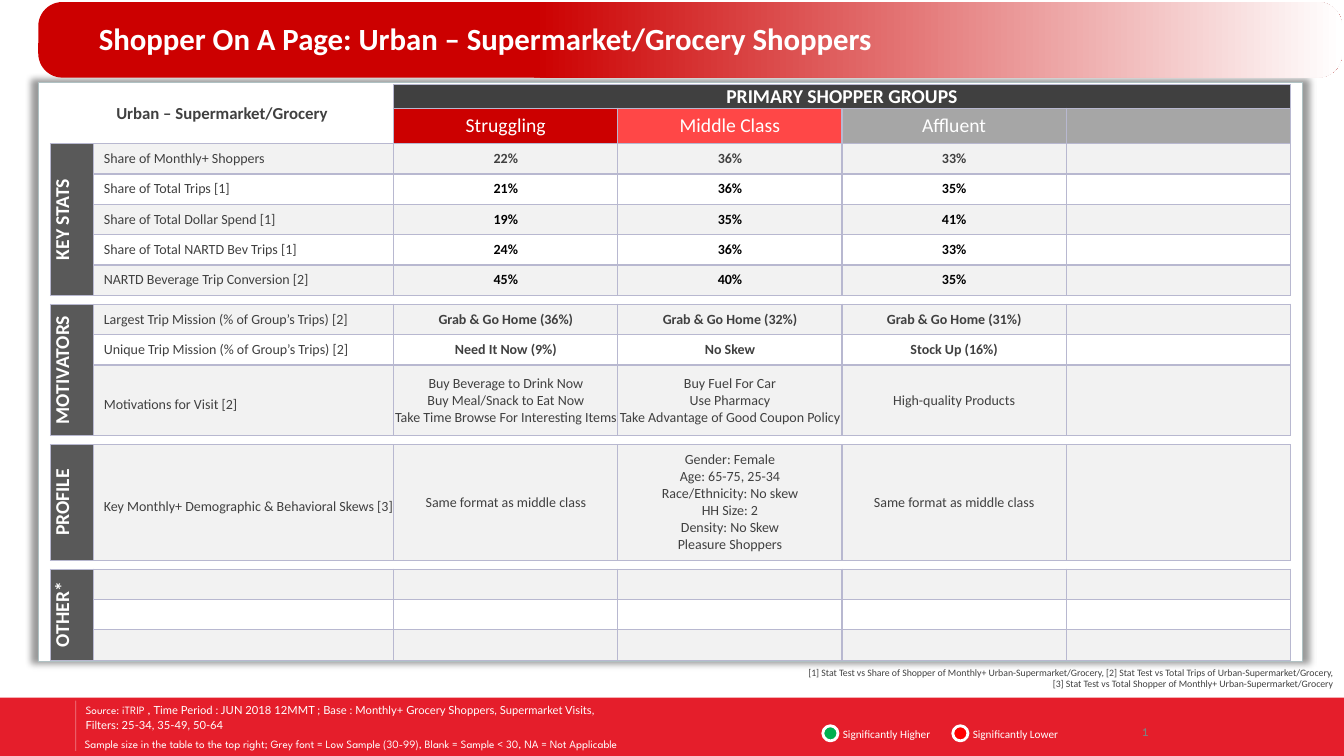
import lxml.etree
import pptx
import pptx.dml.color
import pptx.enum.shapes
import pptx.enum.text
import pptx.oxml
import pptx.oxml.ns
import pptx.util

SLIDE_W, SLIDE_H = pptx.util.Inches(13.33), pptx.util.Inches(7.5)
ALIGN = pptx.enum.text.PP_ALIGN
ANCHOR = pptx.enum.text.MSO_ANCHOR
SHAPE = pptx.enum.shapes.MSO_SHAPE
DARK, WHITE, STRIPE, GRID = "404040", "FFFFFF", "F2F2F2", "B8B8D0"

COLUMNS = [0.43, 2.97, 2.22, 2.22, 2.22, 2.22]
HEADER_ROWS = [0.23, 0.35]
GAP = 0.09
GROUPS = [("Struggling", "CC0000"), ("Middle Class", "FF4747"),
          ("Affluent", "A6A6A6"), ("", "A6A6A6")]
# Section: name, then rows of (height, label, values, bold, value colour)
SECTIONS = [
    ("KEY STATS", [
        (0.3, "Share of Monthly+ Shoppers", ["22%", "36%", "33%"], True, DARK),
        (0.3, "Share of Total Trips [1]", ["21%", "36%", "35%"], True, "000000"),
        (0.3, "Share of Total Dollar Spend [1]", ["19%", "35%", "41%"], True, "000000"),
        (0.3, "Share of Total NARTD Bev Trips [1]", ["24%", "36%", "33%"], True, "000000"),
        (0.3, "NARTD Beverage Trip Conversion [2]", ["45%", "40%", "35%"], True, "000000"),
    ]),
    ("MOTIVATORS", [
        (0.3, "Largest Trip Mission (% of Group’s Trips) [2]",
         ["Grab & Go Home (36%)", "Grab & Go Home (32%)", "Grab & Go Home (31%)"], True, DARK),
        (0.3, "Unique Trip Mission (% of Group’s Trips) [2]",
         ["Need It Now (9%)", "No Skew", "Stock Up (16%)"], True, DARK),
        (0.7, "Motivations for Visit [2]",
         ["Buy Beverage to Drink Now\nBuy Meal/Snack to Eat Now\n"
          "Take Time Browse For Interesting Items",
          "Buy Fuel For Car\nUse Pharmacy\nTake Advantage of Good Coupon Policy",
          "High-quality Products"], False, DARK),
    ]),
    ("PROFILE", [
        (1.14, "Key Monthly+ Demographic & Behavioral Skews [3]",
         ["Same format as middle class",
          "Gender: Female\nAge: 65-75, 25-34\nRace/Ethnicity: No skew\n"
          "HH Size: 2\nDensity: No Skew\nPleasure Shoppers",
          "Same format as middle class"], False, DARK),
    ]),
    ("OTHER*", [(0.3, "", [], False, DARK)] * 3),
]


def color(hex_string):
    return pptx.dml.color.RGBColor.from_string(hex_string)


def area(left, top, width, height):
    """Turn percentages of the slide into lengths."""
    return [round(share * side / 100) for share, side in
            zip((left, top, width, height), (SLIDE_W, SLIDE_H) * 2)]


def xml(text):
    return pptx.oxml.parse_xml(text.replace(">", f" {pptx.oxml.ns.nsdecls('a')}>", 1))


def set_font(font, size, name="Calibri", ink=WHITE, bold=False):
    font.size, font.name, font.bold = pptx.util.Pt(size), name, bold
    font.color.rgb = color(ink)


def add_shape(slide, kind, place, fill=None, line=None, line_width=0.75):
    shape = slide.shapes.add_shape(kind, *area(*place))
    shape.shadow.inherit = False
    if fill:
        shape.fill.solid()
        shape.fill.fore_color.rgb = color(fill)
    if line:
        shape.line.color.rgb = color(line)
        shape.line.width = pptx.util.Pt(line_width)
    else:
        shape.line.fill.background()
    return shape


def add_text(slide, place, lines, size, name="Calibri", ink=WHITE,
             align=ALIGN.LEFT, anchor=ANCHOR.MIDDLE, gap=0):
    frame = slide.shapes.add_textbox(*area(*place)).text_frame
    frame.word_wrap, frame.vertical_anchor = True, anchor
    frame.text = "\n".join(lines)
    for index, paragraph in enumerate(frame.paragraphs):
        paragraph.alignment = align
        if index:
            paragraph.space_before = pptx.util.Pt(gap)
        set_font(paragraph.font, size, name, ink)
    return frame


def set_borders(cell, sides):
    properties = cell._tc.get_or_add_tcPr()
    for index, side in enumerate("LRTB"):
        paint = (f'<a:solidFill><a:srgbClr val="{GRID}"/></a:solidFill>'
                 if side in sides else "<a:noFill/>")
        properties.insert(index, xml(f'<a:ln{side} w="12700">{paint}</a:ln{side}>'))


def fill_cell(cell, text="", size=10, ink=DARK, bold=False, fill=None,
              align=ALIGN.CENTER, indent=0, spacing=None, borders="LRTB"):
    cell.margin_left = pptx.util.Inches(indent)
    cell.margin_right = cell.margin_top = cell.margin_bottom = 0
    cell.vertical_anchor = ANCHOR.MIDDLE
    if fill:
        cell.fill.solid()
        cell.fill.fore_color.rgb = color(fill)
    else:
        cell.fill.background()
    cell.text_frame.text = text
    for paragraph in cell.text_frame.paragraphs:
        paragraph.alignment = align
        if spacing:
            paragraph.line_spacing = spacing
        set_font(paragraph.font, size, ink=ink, bold=bold)
        if not text:
            end = lxml.etree.SubElement(paragraph._p, pptx.oxml.ns.qn("a:endParaRPr"))
            end.set("sz", str(size * 100))
    set_borders(cell, borders)


def fill_header(table):
    for row in range(2):
        for column in range(2):
            fill_cell(table.cell(row, column), size=8, borders="RB")
    for column, (group, fill) in enumerate(GROUPS, 2):
        fill_cell(table.cell(0, column), size=8, fill=DARK)
        fill_cell(table.cell(1, column), group, 14, WHITE, fill=fill)
    for row, column, last, text, size, ink in (
            (0, 0, (1, 1), "Urban – Supermarket/Grocery", 12, DARK),
            (0, 2, (0, 5), "PRIMARY SHOPPER GROUPS", 14, WHITE)):
        corner = table.cell(row, column)
        corner.merge(table.cell(*last))
        corner.text = text
        set_font(corner.text_frame.paragraphs[0].font, size, ink=ink, bold=True)
        corner.text_frame.paragraphs[0].alignment = ALIGN.CENTER


def fill_section(table, first, name, rows):
    for offset, (height, label, values, bold, ink) in enumerate(rows):
        row = first + offset
        stripe = None if offset % 2 else STRIPE
        fill_cell(table.cell(row, 0), "" if offset else name, 14, WHITE, True, "595959")
        fill_cell(table.cell(row, 1), label, fill=stripe, align=ALIGN.LEFT, indent=0.1,
                  spacing=1.5 if height > 0.5 else None)
        for column in range(2, len(COLUMNS)):
            value = values[column - 2] if column - 2 < len(values) else ""
            fill_cell(table.cell(row, column), value, ink=ink, bold=bold, fill=stripe)
    heading = table.cell(first, 0)
    heading._tc.get_or_add_tcPr().set("vert", "vert270")
    if len(rows) > 1:
        heading.merge(table.cell(first + len(rows) - 1, 0))


def add_shopper_table(slide, place):
    heights = list(HEADER_ROWS)
    for index, (_, rows) in enumerate(SECTIONS):
        heights += ([GAP] if index else []) + [row[0] for row in rows]
    table = slide.shapes.add_table(len(heights), len(COLUMNS), *area(*place)).table
    table.first_row = table.horz_banding = False
    _, _, width, height = area(*place)
    for column, share in zip(table.columns, COLUMNS):
        column.width = round(width * share / sum(COLUMNS))
    for row, share in zip(table.rows, heights):
        row.height = round(height * share / sum(heights))
    fill_header(table)
    first = len(HEADER_ROWS)
    for index, (name, rows) in enumerate(SECTIONS):
        if index:
            for column in range(len(COLUMNS)):
                fill_cell(table.cell(first, column), size=3, borders="TB")
            first += 1
        fill_section(table, first, name, rows)
        first += len(rows)


def add_footer(slide):
    add_shape(slide, SHAPE.RECTANGLE, (-0.08, 92.27, 100.15, 7.87), "E51E2B")
    source = add_text(slide, (5.63, 92.4, 48.84, 5.07),
                      ["", "Filters: 25-34, 35-49, 50-64"], 8, "Lato", gap=1.6)
    for text, name in (("Source: iTRIP , ", "League Spartan"),
                       ("Time Period : JUN 2018 12MMT ; Base : Monthly+ Grocery Shoppers, "
                        "Supermarket Visits,", "Lato")):
        run = source.paragraphs[0].add_run()
        run.text = text
        set_font(run.font, 8, name)
    add_text(slide, (5.55, 96.27, 55.89, 4.4),
             ["Sample size in the table to the top right; Grey font = Low Sample (30-99), "
              "Blank = Sample < 30, NA = Not Applicable"], 8, "League Spartan")
    for left, meaning, fill in ((61.22, "Significantly Higher", "00B050"),
                                (70.89, "Significantly Lower", "FF0000")):
        add_text(slide, (left + 0.75, 95.73, 9, 2.67), [meaning], 8)
        add_shape(slide, SHAPE.OVAL, (left, 96, 1.13, 2), fill, WHITE, 2)
    rule = slide.shapes.add_connector(pptx.enum.shapes.MSO_CONNECTOR.STRAIGHT,
                                      *area(5.63, 92.67, 5.63, 99.33))
    rule.line.width = pptx.util.Pt(0.5)
    rule.line.color.rgb = color(WHITE)
    tint = rule._element.spPr.find(".//" + pptx.oxml.ns.qn("a:srgbClr"))
    lxml.etree.SubElement(tint, pptx.oxml.ns.qn("a:alpha")).set("val", "43000")
    lxml.etree.SubElement(rule._element.spPr, pptx.oxml.ns.qn("a:effectLst"))
    for name in ("Arial", "Calibri"):
        number = add_text(slide, (85, 96, 0.3, 1.73), ["1"], 8, name, "808080")
        number.margin_left = number.margin_right = number.margin_top = number.margin_bottom = 0
        number.word_wrap = False


def add_panel(slide):
    panel = add_shape(slide, SHAPE.RECTANGLE, (2.85, 10.93, 94.07, 76.53), WHITE, "AFC1C3")
    effects = panel._element.spPr.find(pptx.oxml.ns.qn("a:effectLst"))
    effects.append(xml('<a:outerShdw blurRad="63500" sx="101000" sy="101000" algn="ctr" '
                       'rotWithShape="0"><a:srgbClr val="000000"><a:alpha val="40000"/>'
                       '</a:srgbClr></a:outerShdw>'))


def add_banner(slide):
    banner = add_shape(slide, SHAPE.ROUNDED_RECTANGLE, (2.85, 0.27, 97, 10))
    banner.adjustments[0] = 0.32
    stops = "".join(f'<a:gs pos="{share}000"><a:srgbClr val="{ink}"/></a:gs>'
                    for share, ink in ((0, "CC0000"), (38, "CC0000"), (100, WHITE)))
    geometry = banner._element.spPr.find(pptx.oxml.ns.qn("a:prstGeom"))
    geometry.addnext(xml(f'<a:gradFill><a:gsLst>{stops}</a:gsLst>'
                         '<a:lin ang="0" scaled="0"/></a:gradFill>'))
    title = slide.shapes.title
    title.left, title.top, title.width, title.height = area(6.6, 2.27, 66.17, 5.87)
    title.text_frame.text = "Shopper On A Page: Urban – Supermarket/Grocery Shoppers"
    title.text_frame.vertical_anchor = ANCHOR.BOTTOM
    heading = title.text_frame.paragraphs[0]
    heading.alignment, heading.line_spacing = ALIGN.LEFT, 0.85
    heading.space_after = pptx.util.Pt(12)
    set_font(heading.font, 22, bold=True)
    banner._element.addnext(title._element)


def main():
    deck = pptx.Presentation()
    deck.slide_width, deck.slide_height = SLIDE_W, SLIDE_H
    slide = deck.slides.add_slide(deck.slide_layouts[5])
    add_footer(slide)
    add_panel(slide)
    add_shopper_table(slide, (3.75, 11.2, 92.27, 76.13))
    add_banner(slide)
    add_text(slide, (56.64, 87.47, 43.29, 4.53),
             ["[1] Stat Test vs Share of Shopper of Monthly+ Urban-Supermarket/Grocery, "
              "[2] Stat Test vs Total Trips of Urban-Supermarket/Grocery,",
              "[3] Stat Test vs Total Shopper of Monthly+ Urban-Supermarket/Grocery"],
             7, ink=DARK, align=ALIGN.RIGHT, anchor=ANCHOR.TOP)
    deck.save("out.pptx")


if __name__ == "__main__":
    main()
